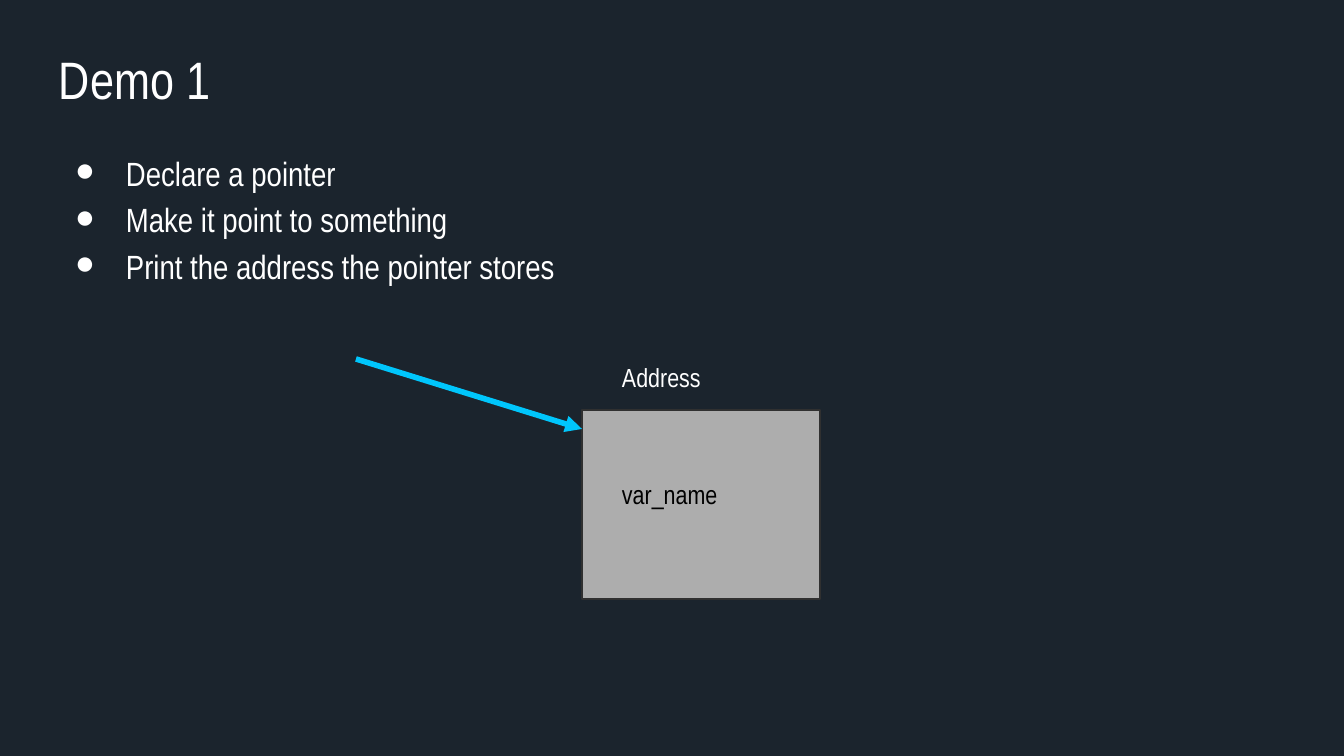
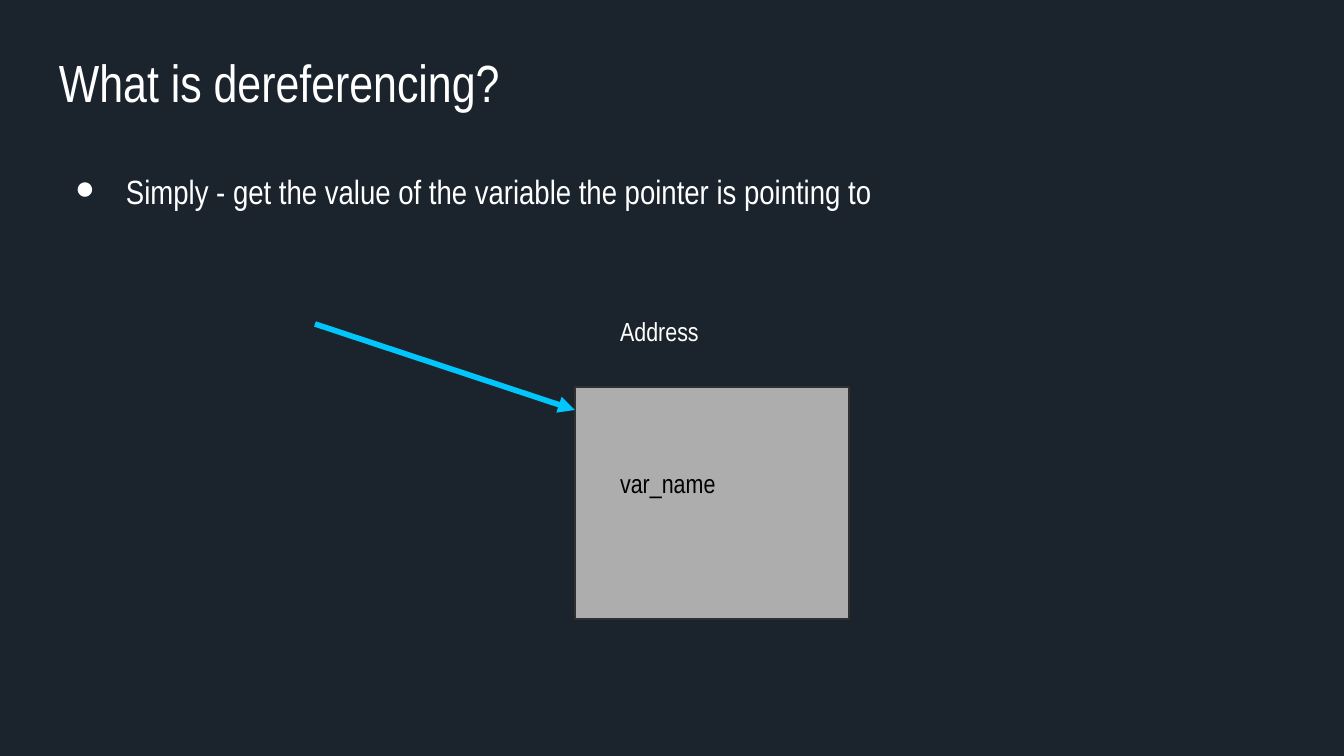
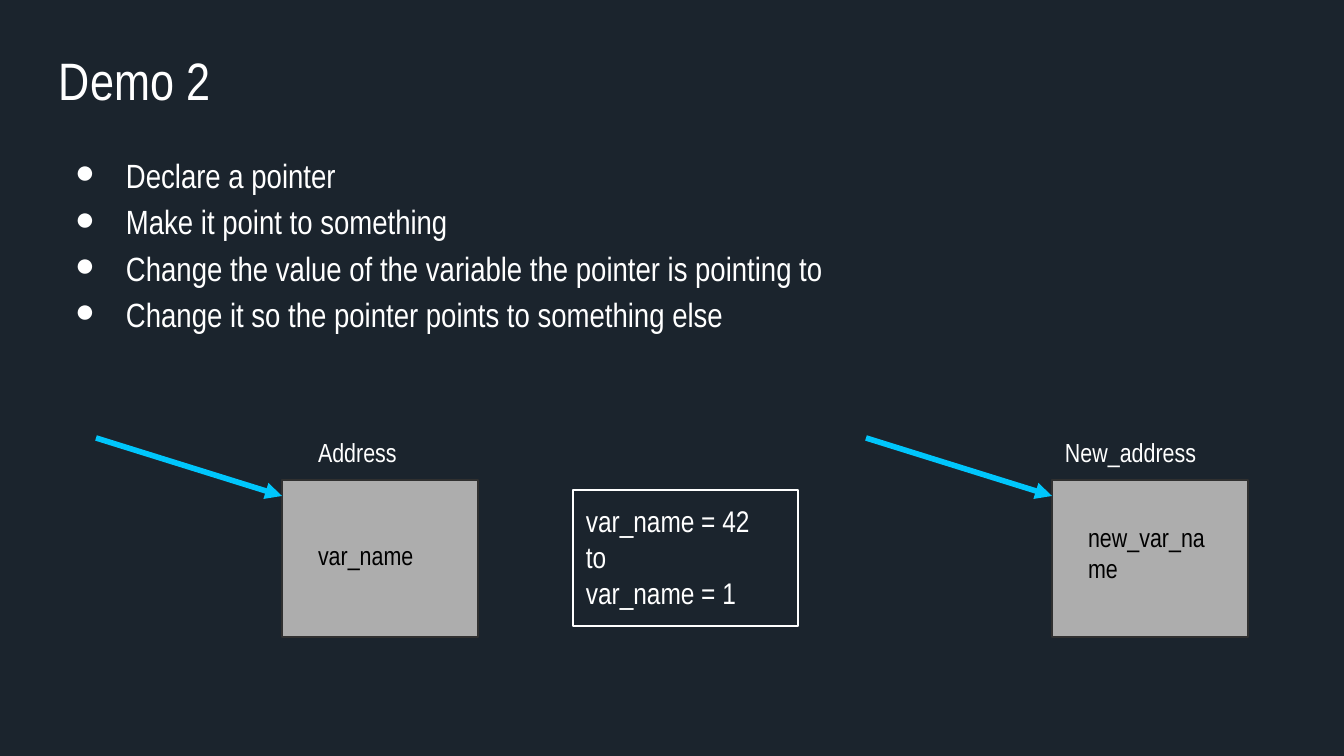
from dataclasses import dataclass

from lxml import etree
from pptx import Presentation
from pptx.dml.color import RGBColor
from pptx.enum.shapes import MSO_CONNECTOR, MSO_SHAPE
from pptx.enum.text import MSO_ANCHOR, MSO_AUTO_SIZE, PP_ALIGN
from pptx.oxml.ns import qn
from pptx.util import Emu, Pt

RECTANGLE = MSO_SHAPE.RECTANGLE
STRAIGHT = MSO_CONNECTOR.STRAIGHT
TOP = MSO_ANCHOR.TOP
LEFT = PP_ALIGN.LEFT
GROW = MSO_AUTO_SIZE.SHAPE_TO_FIT_TEXT
FIXED = MSO_AUTO_SIZE.NONE
BLANK_LAYOUT = 6

PX_PER_INCH = 134.4
SLIDE_WIDTH, SLIDE_HEIGHT = 1344, 756
MARGIN = 46
CONTENT_WIDTH = SLIDE_WIDTH - 2 * MARGIN
LINE_BOX_HEIGHT = 59
TEXT_INSET = 13


@dataclass(frozen=True)
class Theme:
    background: str = "1B242D"
    text: str = "FFFFFF"
    cell: str = "ADADAD"
    cell_line: str = "303030"
    cell_text: str = "000000"
    arrow: str = "00C6FC"
    font: str = "Arial Narrow"
    title_size: float = 28.2
    body_size: float = 18
    note_size: float = 16
    label_size: float = 14
    thin: float = 0.75
    thick: float = 3


THEME = Theme()


def px(length):
    return Emu(round(length * 914400 / PX_PER_INCH))


def color(value):
    return RGBColor.from_string(value)


def add_bullet(paragraph):
    """Hang a round bullet in front of the paragraph."""
    properties = paragraph._p.get_or_add_pPr()
    properties.set("marL", str(px(67)))
    properties.set("indent", str(px(-51)))
    bullet_color = etree.SubElement(properties, qn("a:buClr"))
    etree.SubElement(bullet_color, qn("a:srgbClr"), val=THEME.text)
    etree.SubElement(properties, qn("a:buFont"), typeface=THEME.font)
    etree.SubElement(properties, qn("a:buChar"), char="●")


def write_text(shape, lines, *, size, fill=THEME.text, spacing=None,
               bullets=False, auto_size=FIXED):
    """Write one paragraph per line into a shape or text box."""
    frame = shape.text_frame
    frame.word_wrap = True
    frame.auto_size = auto_size
    frame.vertical_anchor = TOP
    frame.margin_left = frame.margin_right = px(TEXT_INSET)
    frame.margin_top = frame.margin_bottom = px(TEXT_INSET)
    for index, line in enumerate(lines):
        paragraph = frame.add_paragraph() if index else frame.paragraphs[0]
        paragraph.alignment = LEFT
        if spacing:
            paragraph.line_spacing = spacing
        if bullets:
            add_bullet(paragraph)
        run = paragraph.add_run()
        run.text = line
        run.font.name = THEME.font
        run.font.size = Pt(size)
        run.font.color.rgb = color(fill)


def add_text(slide, box, lines, **text_format):
    write_text(slide.shapes.add_textbox(*map(px, box)), lines, **text_format)


def add_rectangle(slide, box, *, line, fill=None):
    shape = slide.shapes.add_shape(RECTANGLE, *map(px, box))
    shape.shadow.inherit = False
    if fill:
        shape.fill.solid()
        shape.fill.fore_color.rgb = color(fill)
    else:
        shape.fill.background()
    shape.line.color.rgb = color(line)
    shape.line.width = Pt(THEME.thin)
    return shape


def add_arrow(slide, start, end):
    arrow = slide.shapes.add_connector(STRAIGHT, *map(px, (*start, *end)))
    arrow.line.color.rgb = color(THEME.arrow)
    arrow.line.width = Pt(THEME.thick)
    etree.SubElement(arrow.line._get_or_add_ln(), qn("a:tailEnd"), type="triangle")
    etree.SubElement(arrow._element.spPr, qn("a:effectLst"))


def add_memory_cell(slide, box, name, address, *, address_rise, name_drop=None,
                    name_height=LINE_BOX_HEIGHT, address_inset=None):
    """A variable's cell, its address above it and a pointer to its left side."""
    left, top, width, height = box
    inset = round(0.115 * width)
    if name_drop is None:
        name_drop = round(0.29 * height)
    if address_inset is None:
        address_inset = inset
    add_rectangle(slide, box, fill=THEME.cell, line=THEME.cell_line)
    add_text(slide, (left + inset, top + name_drop, width - 2 * inset, name_height),
             [name], size=THEME.label_size, fill=THEME.cell_text, auto_size=GROW)
    add_text(slide, (left + address_inset, top - address_rise,
                     width - 2 * address_inset, LINE_BOX_HEIGHT),
             [address], size=THEME.label_size, auto_size=GROW)
    add_arrow(slide, (left - round(0.95 * width), top - round(0.27 * height)),
              (left, top + round(0.1 * height)))


def add_content_slide(presentation, title, points, *, title_top, body_top,
                      body_height, title_size=THEME.title_size, title_spacing=None):
    """The dark slide with its title and bullet list."""
    slide = presentation.slides.add_slide(presentation.slide_layouts[BLANK_LAYOUT])
    slide.background.fill.solid()
    slide.background.fill.fore_color.rgb = color(THEME.background)
    add_text(slide, (MARGIN, title_top, CONTENT_WIDTH, 85), [title],
             size=title_size, spacing=title_spacing)
    add_text(slide, (MARGIN, body_top, CONTENT_WIDTH, body_height), points,
             size=THEME.body_size, spacing=1.15, bullets=True)
    return slide


def build_first_demo(presentation):
    slide = add_content_slide(
        presentation, "Demo 1",
        ["Declare a pointer", "Make it point to something",
         "Print the address the pointer stores"],
        title_top=34, body_top=134, body_height=503)
    add_memory_cell(slide, (582, 410, 238, 189), "var_name", "Address",
                    address_rise=62)


def build_dereferencing(presentation):
    slide = add_content_slide(
        presentation, "What is dereferencing?",
        ["Simply - get the value of the variable the pointer is pointing to"],
        title_top=44, body_top=152, body_height=144,
        title_size=28, title_spacing=0.9)
    add_memory_cell(slide, (575, 387, 274, 232), "var_name", "Address",
                    address_rise=85)


def build_second_demo(presentation):
    slide = add_content_slide(
        presentation, "Demo 2",
        ["Declare a pointer", "Make it point to something",
         "Change the value of the variable the pointer is pointing to",
         "Change it so the pointer points to something else"],
        title_top=35, body_top=136, body_height=259)
    cell_top, cell_width, cell_height = 480, 196, 157
    add_memory_cell(slide, (282, cell_top, cell_width, cell_height),
                    "var_name", "Address", address_rise=57)
    # Change of value between the two cells
    note = add_rectangle(slide, (573, 490, 225, 136), line=THEME.text)
    write_text(note, ["var_name = 42", "to", "var_name = 1"],
               size=THEME.note_size, auto_size=GROW)
    add_memory_cell(slide, (1052, cell_top, cell_width, cell_height),
                    "new_var_name", "New_address", address_rise=57,
                    name_drop=28, name_height=90, address_inset=0)


def main():
    presentation = Presentation()
    presentation.slide_width = px(SLIDE_WIDTH)
    presentation.slide_height = px(SLIDE_HEIGHT)
    build_first_demo(presentation)
    build_dereferencing(presentation)
    build_second_demo(presentation)
    presentation.save("out.pptx")


if __name__ == "__main__":
    main()
